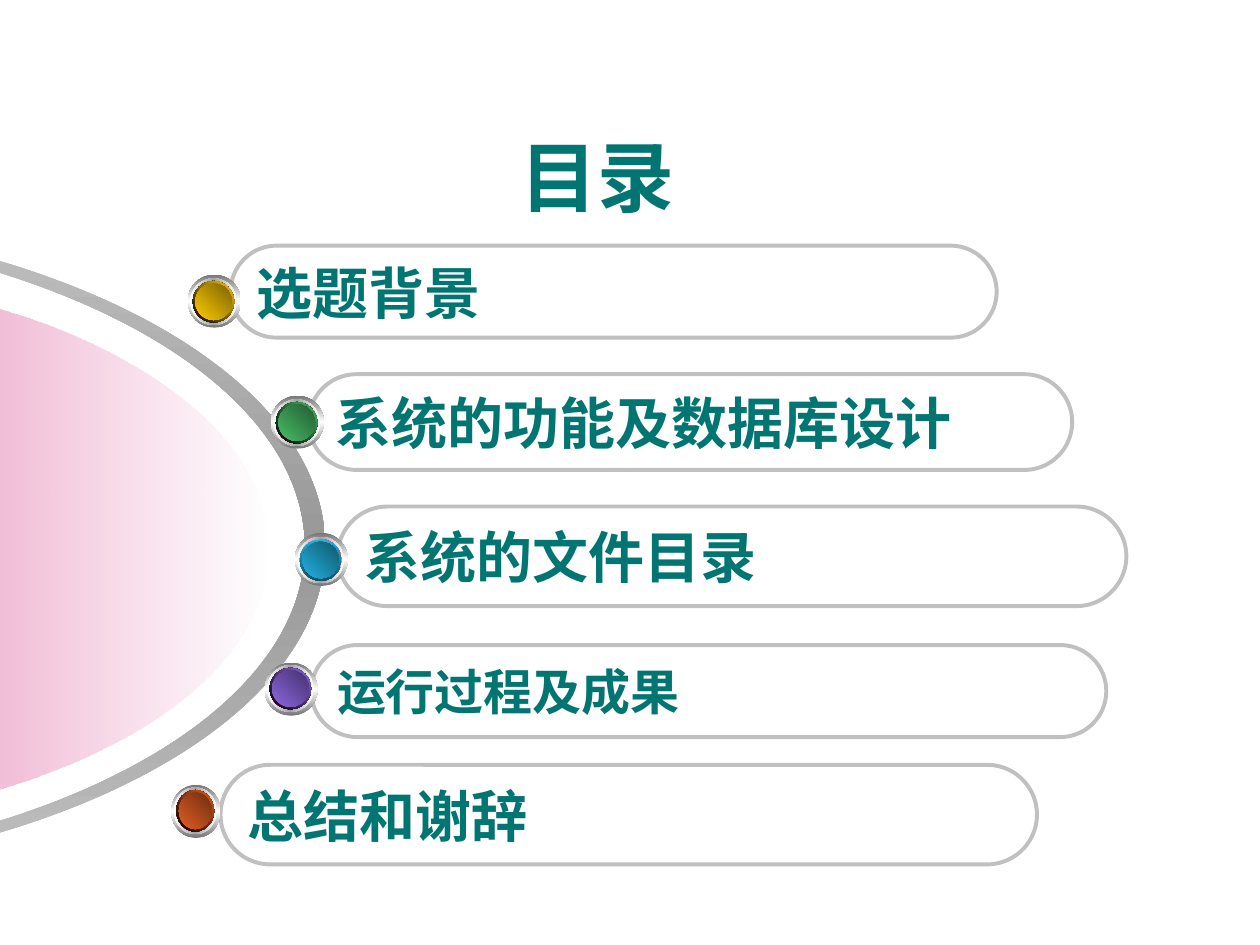
"""Build a table-of-contents slide with five entries around a curved arc."""
from lxml import etree
from pptx import Presentation
from pptx.dml.color import RGBColor
from pptx.enum.shapes import MSO_SHAPE
from pptx.enum.text import MSO_ANCHOR, PP_ALIGN
from pptx.oxml.ns import qn
from pptx.util import Inches, Pt

ROUNDED, OVAL = MSO_SHAPE.ROUNDED_RECTANGLE, MSO_SHAPE.OVAL
LEFT, CENTER = PP_ALIGN.LEFT, PP_ALIGN.CENTER
MIDDLE, BOTTOM = MSO_ANCHOR.MIDDLE, MSO_ANCHOR.BOTTOM

TEAL, SILVER = "007572", "C0C0C0"
TITLE = ("目录", (0.83, 0.89, 7.82, 0.92))

ENTRIES = [
    {"text": "选题背景", "bar": (1.83, 1.95, 6.08, 0.73), "size": 32, "font": "Courier New",
     "ball": (1.49, 2.18, 0.42), "drop": 0.01,
     "rim": ("000000", "FFCC00", 315), "face": ("FFCC00", "7C6300")},
    {"text": "系统的功能及数据库设计", "bar": (2.45, 2.97, 6.06, 0.76), "size": 32, "font": "Times New Roman",
     "ball": (2.15, 3.14, 0.42), "drop": 0.01,
     "rim": ("000000", "48BE67", 315), "face": ("48BE67", "235C32")},
    {"text": "系统的文件目录", "bar": (2.68, 4.02, 6.26, 0.79), "size": 32, "font": "Courier New",
     "ball": (2.34, 4.23, 0.42), "drop": 0.01,
     "rim": ("21B3E1", "0F5368", 90), "face": ("21B3E1", "10576D")},
    {"text": "运行过程及成果", "bar": (2.47, 5.12, 6.31, 0.73), "size": 28, "font": "Courier New",
     "ball": (2.10, 5.26, 0.42), "drop": 0,
     "rim": ("000000", "8D67E1", 315), "face": ("8D67E1", "45326D")},
    {"text": "总结和谢辞", "bar": (1.75, 6.07, 6.48, 0.79), "size": 32, "font": "Courier New",
     "ball": (1.36, 6.23, 0.39), "drop": 0,
     "rim": ("000000", "E35E23", 315), "face": ("E35E23", "6E2E11")},
]
BALL_HEIGHT = 0.42

ARC = [
    [(-2.64, 1.78)],
    [(0.17, 1.8), (2.42, 2.94), (2.42, 4.34)],
    [(2.42, 5.74), (0.17, 6.88), (-2.64, 6.9)],
    [(-2.64, 6.98)],
    [(0.26, 6.96), (2.58, 5.78), (2.58, 4.34)],
    [(2.58, 2.9), (0.26, 1.72), (-2.64, 1.7)],
]
DOME = [
    [(-2.17, 2.15)],
    [(0.2, 2.15), (2.13, 3.14), (2.13, 4.36)],
    [(2.13, 5.58), (0.2, 6.56), (-2.17, 6.56)],
]


def color(value):
    return RGBColor.from_string(value)


def fill_gradient(shape, stops, angle):
    shape.shadow.inherit = False
    shape.line.fill.background()
    shape.fill.background()
    properties = shape.element.spPr
    gradient = etree.Element(qn("a:gradFill"), rotWithShape="1")
    stop_list = etree.SubElement(gradient, qn("a:gsLst"))
    for position, value, *opacity in stops:
        stop = etree.SubElement(stop_list, qn("a:gs"), pos=str(position * 1000))
        paint = etree.SubElement(stop, qn("a:srgbClr"), val=value)
        for percent in opacity:
            etree.SubElement(paint, qn("a:alpha"), val=str(percent * 1000))
    etree.SubElement(gradient, qn("a:lin"), ang=str(angle * 60000), scaled="0")
    properties.replace(properties.find(qn("a:noFill")), gradient)


def add_outline(slide, segments, stops, angle):
    anchors = [(Inches(x), Inches(y)) for x, y in (segment[-1] for segment in segments)]
    builder = slide.shapes.build_freeform(*anchors[0])
    builder.add_line_segments(anchors[1:], close=True)
    shape = builder.convert_to_shape()
    lines = list(shape.element.iter(qn("a:lnTo")))
    for line, segment in zip(lines, segments[1:]):
        if len(segment) == 3:
            curve = etree.Element(qn("a:cubicBezTo"))
            for x, y in segment:
                etree.SubElement(curve, qn("a:pt"), x=str(Inches(x) - shape.left), y=str(Inches(y) - shape.top))
            line.getparent().replace(line, curve)
    fill_gradient(shape, stops, angle)


def write(shape, text, size, font, alignment, anchor, wrap):
    frame = shape.text_frame
    frame.word_wrap = wrap
    frame.vertical_anchor = anchor
    paragraph = frame.paragraphs[0]
    paragraph.alignment = alignment
    run = paragraph.add_run()
    run.text = text
    run.font.size = Pt(size)
    run.font.name = font
    run.font.bold = True
    run.font.color.rgb = color(TEAL)


def add_bar(slide, entry):
    bar = slide.shapes.add_shape(ROUNDED, *map(Inches, entry["bar"]))
    bar.adjustments[0] = 0.5
    bar.shadow.inherit = False
    bar.fill.background()
    bar.line.color.rgb = color(SILVER)
    bar.line.width = Pt(2.25)
    write(bar, entry["text"], entry["size"], entry["font"], LEFT, MIDDLE, False)


def add_ball(slide, entry):
    left, top, width = entry["ball"]
    rim_start, rim_end, rim_angle = entry["rim"]
    layers = [
        (0, 0, ("767676", "FFFFFF", "767676"), 90),
        (0.02, 0.05, ("FFFFFF", "A2A2A2", "FFFFFF"), 0),
        (0.04, 0.09, ("CC0066", "FFFFFF", "CC0066"), 315),
        (0.04, 0.09, (rim_start, rim_end), rim_angle),
        (0.06, 0.13, ("CC0066", "8A0000", "CC0066"), 45),
        (0.06, 0.13, entry["face"], 315),
    ]
    group = slide.shapes.add_group_shape()
    for offset, shrink, colors, angle in layers:
        drop = entry["drop"] if offset else 0
        box = (left + offset, top + offset + drop, width - shrink, BALL_HEIGHT - shrink)
        disc = group.shapes.add_shape(OVAL, *map(Inches, box))
        stops = [(100 * i // (len(colors) - 1), value) for i, value in enumerate(colors)]
        fill_gradient(disc, stops, angle)


def main():
    presentation = Presentation()
    presentation.slide_width, presentation.slide_height = Inches(10), Inches(7.5)
    slide = presentation.slides.add_slide(presentation.slide_layouts[6])
    text, box = TITLE
    write(slide.shapes.add_textbox(*map(Inches, box)), text, 44, "Arial", CENTER, BOTTOM, True)
    add_outline(slide, ARC, [(0, SILVER), (50, "989898"), (100, SILVER)], 90)
    add_outline(slide, DOME, [(0, "CC0066", 56), (100, "FFFFFF", 48)], 0)
    for entry in reversed(ENTRIES):
        add_bar(slide, entry)
    for entry in ENTRIES:
        add_ball(slide, entry)
    presentation.save("out.pptx")


if __name__ == "__main__":
    main()
